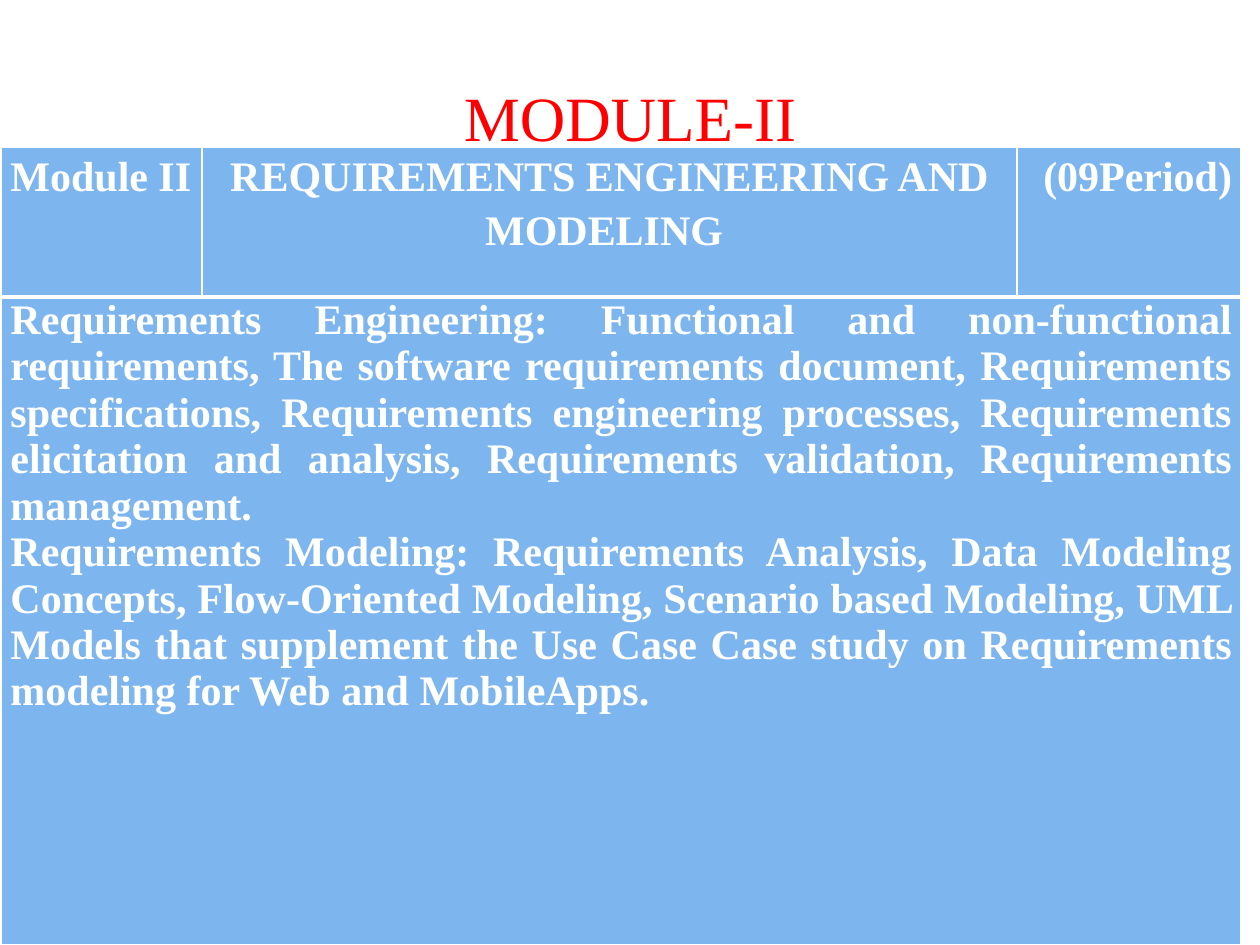
"""Build the MODULE-II syllabus slide."""
import pptx
import pptx.dml.color
import pptx.enum.text
import pptx.oxml
import pptx.oxml.ns
import pptx.util

Cm = pptx.util.Cm
Pt = pptx.util.Pt
ALIGN = pptx.enum.text.PP_ALIGN
ANCHOR = pptx.enum.text.MSO_ANCHOR

RED = pptx.dml.color.RGBColor(0xFF, 0x00, 0x00)
WHITE = pptx.dml.color.RGBColor(0xFF, 0xFF, 0xFF)
SKY_BLUE = pptx.dml.color.RGBColor(0x7D, 0xB6, 0xEF)

COLUMN_WIDTHS = (4.04, 16.43, 4.52)
ROW_HEIGHTS = (3.02, 13.06)
HEADINGS = (
    ("Module II", ALIGN.LEFT),
    ("REQUIREMENTS ENGINEERING AND MODELING ", ALIGN.CENTER),
    ("(09Period)", ALIGN.RIGHT),
)
TOPICS = (
    "Requirements Engineering: Functional and non-functional requirements, "
    "The software requirements document, Requirements specifications, "
    "Requirements engineering processes, Requirements elicitation and analysis, "
    "Requirements validation, Requirements management.",
    "Requirements Modeling: Requirements Analysis, Data Modeling Concepts, "
    "Flow-Oriented Modeling, Scenario based Modeling, UML Models that supplement "
    "the Use Case Case study on Requirements modeling for Web and MobileApps.",
)
HEADING_FORMAT = {"line_spacing": 1.15, "space_after": Pt(6)}
TITLE_FONT = {"name": "Times New Roman", "size": Pt(36)}
CELL_FONT = {"name": "Times New Roman", "size": Pt(24), "bold": True}
CELL_FORMAT = {
    "margin_left": Cm(0.18),
    "margin_right": Cm(0.18),
    "margin_top": 0,
    "margin_bottom": 0,
    "vertical_anchor": ANCHOR.TOP,
}


def apply(target, values):
    for name, value in values.items():
        setattr(target, name, value)


class SyllabusSlide:
    def __init__(self, presentation):
        self.slide = presentation.slides.add_slide(presentation.slide_layouts[5])

    def fill_text(self, text_frame, lines, font, color, paragraph_format):
        text_frame.text = "\n".join(lines)
        for paragraph in text_frame.paragraphs:
            apply(paragraph, paragraph_format)
            for run in paragraph.runs:
                apply(run.font, font)
                run.font.color.rgb = color

    def title(self, text):
        shape = self.slide.shapes.title
        apply(shape, {"left": Cm(1.27), "top": Cm(0.76),
                      "width": Cm(22.86), "height": Cm(3.18)})
        shape.text_frame.vertical_anchor = ANCHOR.MIDDLE
        self.fill_text(shape.text_frame, [text], TITLE_FONT, RED,
                       {"alignment": ALIGN.CENTER})

    def borders(self, cell, top, bottom):
        properties = cell._tc.get_or_add_tcPr()
        for side, width in (("L", 1), ("R", 1), ("T", top), ("B", bottom)):
            properties.append(pptx.oxml.parse_xml(
                f'<a:ln{side} {pptx.oxml.ns.nsdecls("a")} w="{Pt(width)}">'
                f'<a:solidFill><a:srgbClr val="{WHITE}"/></a:solidFill>'
                f'</a:ln{side}>'))

    def table(self):
        table = self.slide.shapes.add_table(
            len(ROW_HEIGHTS), len(COLUMN_WIDTHS), Cm(0.03), Cm(2.97),
            Cm(sum(COLUMN_WIDTHS)), Cm(sum(ROW_HEIGHTS))).table
        for column, width in zip(table.columns, COLUMN_WIDTHS):
            column.width = Cm(width)
        for row, height, top, bottom in zip(table.rows, ROW_HEIGHTS, (1, 3), (3, 1)):
            row.height = Cm(height)
            for cell in row.cells:
                apply(cell, CELL_FORMAT)
                self.borders(cell, top, bottom)
                cell.fill.solid()
                cell.fill.fore_color.rgb = SKY_BLUE
        for cell, (text, alignment) in zip(table.rows[0].cells, HEADINGS):
            self.fill_text(cell.text_frame, [text], CELL_FONT, WHITE,
                           {"alignment": alignment, **HEADING_FORMAT})
        topics = table.cell(1, 0)
        topics.merge(table.cell(1, len(COLUMN_WIDTHS) - 1))
        self.fill_text(topics.text_frame, TOPICS, CELL_FONT, WHITE,
                       {"alignment": ALIGN.JUSTIFY})


def main():
    presentation = pptx.Presentation()
    apply(presentation, {"slide_width": Cm(25.4), "slide_height": Cm(19.05)})
    syllabus = SyllabusSlide(presentation)
    syllabus.title("MODULE-II")
    syllabus.table()
    presentation.save("out.pptx")


if __name__ == "__main__":
    main()
